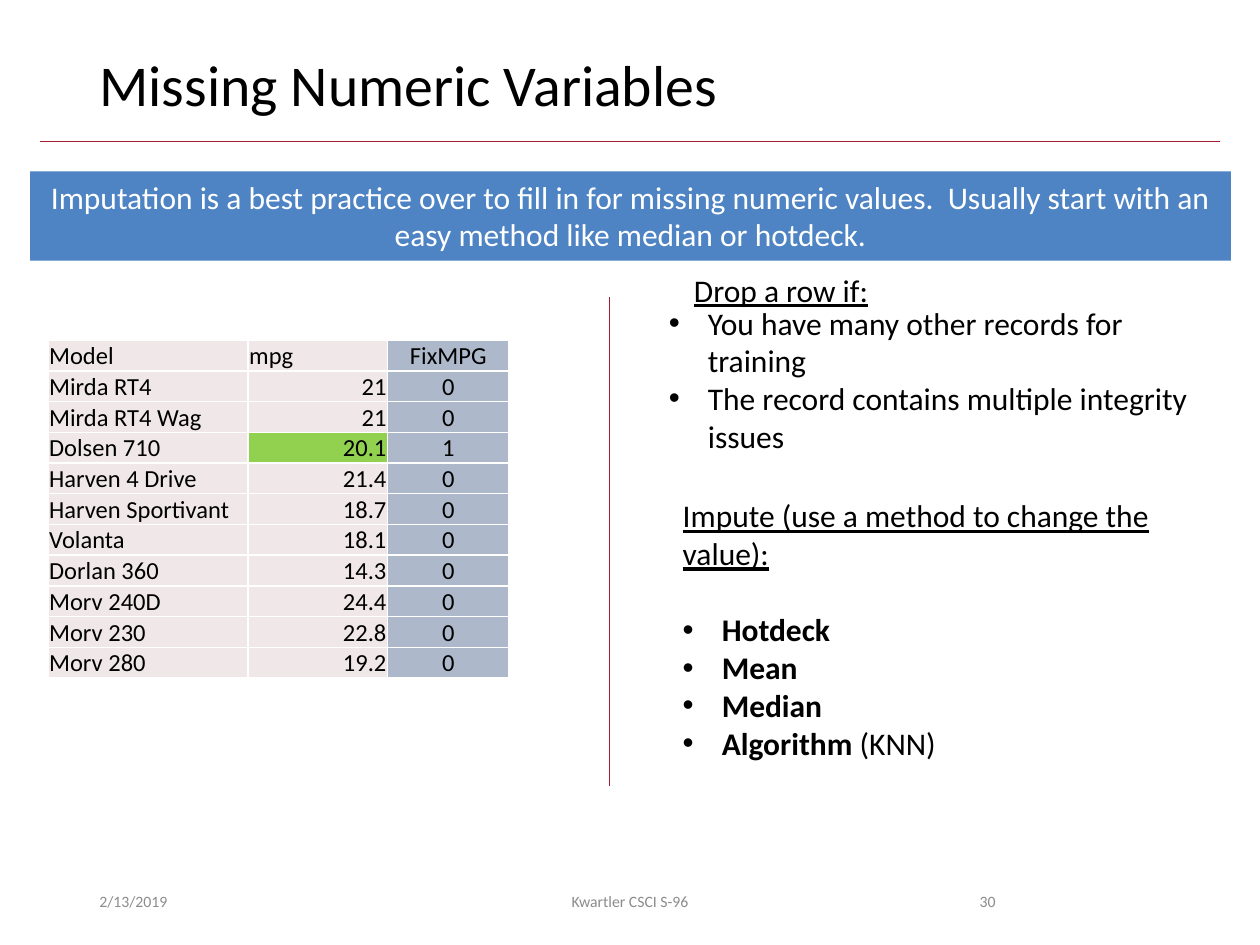
from lxml import etree
from pptx import Presentation
from pptx import util as u
from pptx.dml.color import RGBColor
from pptx.enum import shapes, text
from pptx.oxml import ns

UNIT = 0.1  # inches in one grid column or row: 100 columns by 75 rows
COLORS = {"ink": "000000", "muted": "8C8C8C", "white": "FFFFFF", "banner": "4E84C4",
          "rule": "A51C30", "plain": "F0E8E8", "flag": "ADB9CA", "imputed": "92D050"}
LEFT, CENTER, RIGHT = text.PP_ALIGN.LEFT, text.PP_ALIGN.CENTER, text.PP_ALIGN.RIGHT
TOP, MIDDLE, BOTTOM = (text.MSO_ANCHOR.TOP, text.MSO_ANCHOR.MIDDLE,
                       text.MSO_ANCHOR.BOTTOM)
CARS = [("Model", "mpg", "FixMPG"), ("Mirda RT4", "21", "0"),
        ("Mirda RT4 Wag", "21", "0"), ("Dolsen 710", "20.1", "1"),
        ("Harven 4 Drive", "21.4", "0"), ("Harven Sportivant", "18.7", "0"),
        ("Volanta", "18.1", "0"), ("Dorlan 360", "14.3", "0"),
        ("Morv 240D", "24.4", "0"), ("Morv 230", "22.8", "0"),
        ("Morv 280", "19.2", "0")]


def grid(*cells):
    """Turn grid counts into slide lengths."""
    return [u.Inches(n * UNIT) for n in cells]


def rgb(name):
    """Look up a named colour."""
    return RGBColor.from_string(COLORS[name])


def style(p, size, color="ink", align=LEFT, **marks):
    """Format a paragraph and all of its runs."""
    p.alignment = align
    for r in p.runs:
        r.font.name, r.font.size = "Calibri", u.Pt(size)
        r.font.color.rgb = rgb(color)
        for mark, value in marks.items():
            setattr(r.font, mark, value)


def bullet(p):
    """Give a paragraph a hanging bullet."""
    pPr = p._p.get_or_add_pPr()
    indent = u.Inches(0.31)
    pPr.set("marL", str(indent))
    pPr.set("indent", str(-indent))
    etree.SubElement(pPr, ns.qn("a:buFont")).set("typeface", "Arial")
    etree.SubElement(pPr, ns.qn("a:buChar")).set("char", "•")


def textbox(s, box, words, size, color="ink", align=LEFT, anchor=TOP, **marks):
    """Add a wrapped text box with one styled paragraph per line."""
    tf = s.shapes.add_textbox(*grid(*box)).text_frame
    tf.word_wrap, tf.vertical_anchor = True, anchor
    tf.text = words
    for p in tf.paragraphs:
        style(p, size, color, align, **marks)
    return tf


def rule(s, x1, y1, x2, y2):
    """Draw a thin straight rule."""
    line = s.shapes.add_connector(shapes.MSO_CONNECTOR.STRAIGHT, *grid(x1, y1, x2, y2))
    line.line.color.rgb, line.line.width = rgb("rule"), u.Pt(0.5)
    etree.SubElement(line._element.spPr, ns.qn("a:effectLst"))


def header(s, x, y, w, h):
    """Place the title with the rule below it."""
    tf = textbox(s, (x + 3.7, y, w - 7.4, h - 0.7), "Missing Numeric Variables", 33)
    tf.paragraphs[0].line_spacing = 0.9
    rule(s, x, y + h, x + w, y + h)


def banner(s, *box):
    """Place the filled key message."""
    sp = s.shapes.add_shape(shapes.MSO_SHAPE.RECTANGLE, *grid(*box))
    sp.shadow.inherit = False
    sp.fill.solid()
    sp.fill.fore_color.rgb = rgb("banner")
    sp.line.fill.background()
    tf = sp.text_frame
    tf.word_wrap, tf.vertical_anchor = True, TOP
    tf.text = ("Imputation is a best practice over to fill in for missing numeric values.  "
               "Usually start with an easy method like median or hotdeck.")
    style(tf.paragraphs[0], 18, "white", CENTER)


def borders(cell):
    """Outline a cell in white."""
    tcPr = cell._tc.get_or_add_tcPr()
    for side in ("lnL", "lnR", "lnT", "lnB"):
        ln = etree.SubElement(tcPr, ns.qn("a:" + side), w=str(u.Pt(1)))
        fill = etree.SubElement(ln, ns.qn("a:solidFill"))
        etree.SubElement(fill, ns.qn("a:srgbClr"), val=COLORS["white"])


def car_table(s, x, y, w, h):
    """Place the data table, marking the imputed value."""
    table = s.shapes.add_table(len(CARS), 3, *grid(x, y, w, h)).table
    for column, share in zip(table.columns, (0.434, 0.303, 0.263)):
        column.width = grid(w * share)[0]
    for i, values in enumerate(CARS):
        table.rows[i].height = grid(h / len(CARS))[0]
        for j, value in enumerate(values):
            cell = table.cell(i, j)
            cell.margin_left = cell.margin_right = cell.margin_top = u.Inches(0.01)
            cell.margin_bottom = 0
            cell.vertical_anchor = BOTTOM if j else MIDDLE
            borders(cell)
            imputed = j == 1 and values[2] == "1"
            cell.fill.solid()
            cell.fill.fore_color.rgb = rgb(
                "imputed" if imputed else "flag" if j == 2 else "plain")
            cell.text = value
            align = (LEFT, RIGHT if i else LEFT, CENTER)[j]
            style(cell.text_frame.paragraphs[0], 14, align=align)


def advice(s, x, y, w, h):
    """Place the advice on dropping rows and imputing values."""
    textbox(s, (x + 2, y, 16, 4), "Drop a row if:", 18, underline=True).word_wrap = False
    drop = textbox(s, (x, y + 2.6, w - 2, 13.1), "You have many other records for training\n"
                   "The record contains multiple integrity issues", 18)
    impute = textbox(s, (x + 1.1, y + 17.9, w - 1.1, h - 17.9),
                     "Impute (use a method to change the value):\n"
                     "Hotdeck\nMean\nMedian\nAlgorithm", 18, bold=True)
    heading, *methods = impute.paragraphs
    style(heading, 18, bold=False, underline=True)
    methods[0].space_before = u.Pt(22)
    methods[-1].add_run().text = " (KNN)"
    style(methods[-1], 18)
    methods[-1].runs[0].font.bold = True
    for p in drop.paragraphs + tuple(methods):
        bullet(p)


def footer(s, x, y, h):
    """Place the date, course and page number."""
    for dx, w, words, align in ((0, 22.5, "2/13/2019", LEFT),
                                (26.2, 33.8, "Kwartler CSCI S-96", CENTER),
                                (63.7, 9.4, "30", RIGHT)):
        textbox(s, (x + dx, y, w, h), words, 9, "muted", align, MIDDLE)


prs = Presentation()
prs.slide_width, prs.slide_height = grid(100, 75)
s = prs.slides.add_slide(prs.slide_layouts[6])
header(s, 3.2, 4, 93.6, 7.2)
banner(s, 2.4, 13.6, 95.3, 7.1)
car_table(s, 3.8, 27, 36.6, 26.8)
rule(s, 48.4, 23.6, 48.4, 62.4)
advice(s, 52.1, 21, 46, 40.1)
footer(s, 6.9, 69.5, 4)
prs.save("out.pptx")
